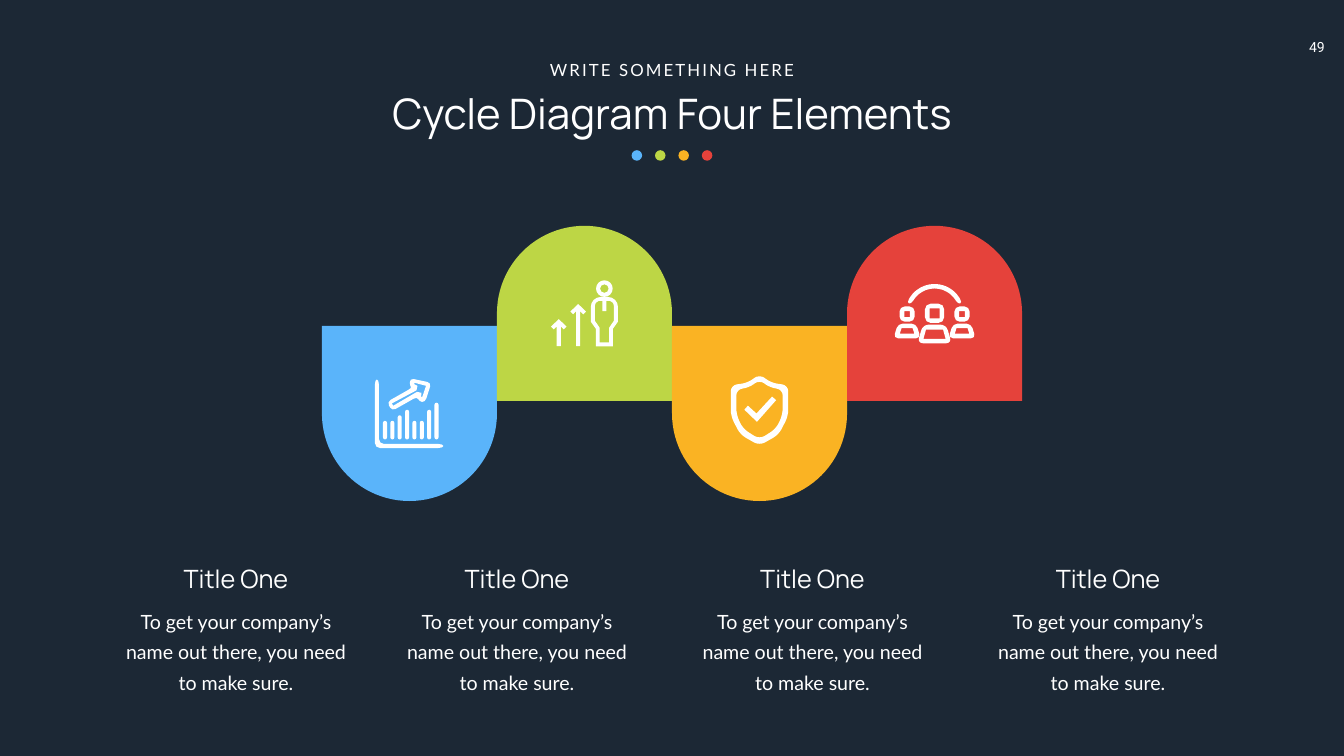
import math
from dataclasses import dataclass

from pptx import Presentation
from pptx.dml.color import RGBColor
from pptx.enum.shapes import MSO_SHAPE
from pptx.enum.text import MSO_AUTO_SIZE, PP_ALIGN
from pptx.oxml.ns import qn
from pptx.util import Cm, Pt

ELLIPSE, PETAL = MSO_SHAPE.OVAL, MSO_SHAPE.FLOWCHART_DELAY
CENTER, FIT_SHAPE = PP_ALIGN.CENTER, MSO_AUTO_SIZE.SHAPE_TO_FIT_TEXT


@dataclass(frozen=True)
class Theme:
    """Colours, and text styles as (font, size)."""
    background: str = "1C2835"
    white: str = "FFFFFF"
    accents: tuple = ("5AB4FA", "BDD645", "FAB323", "E5423B")
    title: tuple = ("Manrope", 60)
    heading: tuple = ("Manrope", 36)
    body: tuple = ("Lato", 28)
    kicker: tuple = ("Lato", 24)
    number: tuple = ("Roboto", 20)


THEME = Theme()
KICKER, TITLE, PAGE_NUMBER = "WRITE SOMETHING HERE", "Cycle Diagram Four Elements", "49"
BODY = "To get your company’s name out there, you need to make sure."
# Heading, body and centre of each column in cm
COLUMNS = [("Title One", BODY, center) for center in (11.89, 26.05, 40.94, 55.83)]

SLIDE_WIDTH, SLIDE_HEIGHT = 67.72, 38.1
PETAL_SIZE, HIGH_TOP, LOW_TOP = 8.82, 11.38, 16.43
DOT_SIZE, DOT_PITCH, DOT_TOP = 0.53, 1.18, 7.57
ICON_UNIT = Cm(2.54) / 100
CIRCLE_FACTOR = 0.55


def mirror(half, axis=0):
    """Complete a right half, given around x = 0, and centre it on the axis."""
    left = [(-x, *rest) for x, *rest in reversed(half) if x]
    return [(x + axis, *rest) for x, *rest in half + left]


def trapezoid(axis, top, bottom, half_top, half_bottom, radius=0):
    return mirror([(half_top, top), (half_bottom, bottom)], axis), radius


def arch(outer, inner, start, count, radius):
    """Strip along an arc above the icon centre, with rounded ends."""
    angles = [math.radians(start + i * (180 - 2 * start) / (count - 1)) for i in range(count)]
    sides = [(outer, angles), (inner, angles[::-1])]
    return [(r * math.cos(a), -r * math.sin(a)) for r, side in sides for a in side], radius


def up_arrow(tip, base):
    return [(0, tip), (15.5, tip + 15), (10, tip + 20.5), (4, tip + 14.5), (4, base)]


# An icon is a list of shapes, a shape a list of contours, a contour (points, corner radius).
# Points are icon units from the petal centre; a third number is the radius of that corner.
BAR_HEIGHTS = [37, 37, 48, 59, 37, 37, 59, 73]
CHART_ICON = [
    [([(-68.5, -67.5), (-60.5, -67.5), (-60.5, 60.5), (67.5, 60.5),
       (67.5, 68.5), (-68.5, 68.5)], 10)],
    *[[trapezoid(-48.5 + 14.6 * i, 51.5 - height, 51.5, 4, 4, 4)]
      for i, height in enumerate(BAR_HEIGHTS)],
    [([(-44.5, -23), (-34.5, -5), (15.5, -33.5), (19, -24), (31, -22),
       (43.5, -61), (0.5, -70), (1, -54), (5, -51)], 8),
     ([(-35, -20), (-32, -15.5), (15, -43), (24, -41), (23, -33), (25.5, -33),
       (33, -55), (10, -61), (10, -58), (16, -55), (14, -46)], 0)],
]
GROWTH_ICON = [
    [(mirror([(27, -32.5, 20), (27, 16.5), (17, 30.5), (17, 65.5)], 39.5), 0),
     (mirror([(4, -4.5), (4, -24.5), (19, -24.5, 12), (19, 14.5),
              (9.5, 28.5), (9.5, 57.5)], 39.5), 0)],
    [trapezoid(39.5, -65.5, -32.5, 16.5, 16.5, 16.5),
     trapezoid(39.5, -57.5, -40.5, 8.5, 8.5, 8.5)],
    [(mirror(up_arrow(-18.5, 65), -12.5), 0)],
    [(mirror(up_arrow(11.5, 65), -51), 0)],
]
SHIELD_ICON = [
    [([(-6, 0), (-23, -15.5), (-30, -7.5), (-5, 16.5), (33, -26.5), (25, -33.5)], 0)],
    [(mirror([(0, -78), (23, -61), (57, -56), (57, 5), (38, 42), (0, 63.5)]), 12),
     (mirror([(0, -67), (21, -51), (46, -48), (46, 2), (33, 30), (0, 51)]), 12)],
]
TEAM_ICON = [
    [trapezoid(0, -19, 19, 19, 19, 11), trapezoid(0, -10, 10, 10, 10)],
    [trapezoid(0, 22.5, 59.5, 23, 34, 11), trapezoid(0, 32.5, 50.5, 17, 22)],
    *[part for axis in (-54.5, 54.5) for part in (
        [trapezoid(axis, -13.5, 16.5, 15, 15, 10), trapezoid(axis, -4.5, 7.5, 5.5, 5.5)],
        [trapezoid(axis, 20.5, 49.5, 18, 27, 9), trapezoid(axis, 29.5, 40.5, 11, 14.5)])],
    [arch(59, 50, 21, 8, 8)],
]
ICONS = [CHART_ICON, GROWTH_ICON, SHIELD_ICON, TEAM_ICON]


def round_corners(points, default_radius):
    """Return one point for each sharp corner, four Bézier points for each round one."""
    corners = []
    for i, (x, y, *own) in enumerate(points):
        radius = own[0] if own else default_radius
        if not radius:
            corners.append([(x, y)])
            continue
        ends = []
        for near_x, near_y, *_ in (points[i - 1], points[(i + 1) % len(points)]):
            length = math.hypot(near_x - x, near_y - y)
            share = min(radius, length / 2) / length
            ends.append(((near_x - x) * share, (near_y - y) * share))
        pull = 1 - CIRCLE_FACTOR
        corners.append([(x + dx * scale, y + dy * scale) for (dx, dy), scale in
                        zip((ends[0], ends[0], ends[1], ends[1]), (1, pull, pull, 1))])
    return corners


def bend_corners(shape, corners):
    """Turn the three line segments of each round corner into one Bézier curve."""
    nodes = list(shape._element.iter(qn("a:moveTo"), qn("a:lnTo")))
    for corner in corners:
        segments, nodes = nodes[1:len(corner)], nodes[len(corner):]
        if segments:
            curve = segments[0].makeelement(qn("a:cubicBezTo"))
            segments[0].addprevious(curve)
            for segment in segments:
                curve.append(segment[0])
                segment.getparent().remove(segment)


def paint(shape, color):
    shape.shadow.inherit = False
    shape.fill.solid()
    shape.fill.fore_color.rgb = RGBColor.from_string(color)
    shape.line.fill.background()


def add_filled(shapes, kind, left, top, size, color):
    shape = shapes.add_shape(kind, Cm(left), Cm(top), Cm(size), Cm(size))
    paint(shape, color)
    return shape


def add_icon(shapes, icon, center_x, center_y):
    group = shapes.add_group_shape()
    for contours in icon:
        builder, corners = group.shapes.build_freeform(), []
        for points, radius in contours:
            rounded = round_corners(points, radius)
            first, *others = [(Cm(center_x) + x * ICON_UNIT, Cm(center_y) + y * ICON_UNIT)
                              for corner in rounded for x, y in corner]
            if not corners:
                builder = group.shapes.build_freeform(*first)
            else:
                builder.move_to(*first)
            builder.add_line_segments(others, close=True)
            corners += rounded
        shape = builder.convert_to_shape()
        bend_corners(shape, corners)
        paint(shape, THEME.white)


def add_text(shapes, text, style, center, top, width, height, leading=None, tracking=0, wrap=True):
    frame = shapes.add_textbox(Cm(center - width / 2), Cm(top), Cm(width), Cm(height)).text_frame
    frame.word_wrap, frame.auto_size = wrap, FIT_SHAPE
    paragraph = frame.paragraphs[0]
    paragraph.alignment, paragraph.line_spacing = CENTER, leading
    run = paragraph.add_run()
    run.text = text
    run.font.name, run.font.size = style[0], Pt(style[1])
    run.font.color.rgb = RGBColor.from_string(THEME.white)
    run._r.get_or_add_rPr().set("spc", str(tracking * 100))


presentation = Presentation()
presentation.slide_width, presentation.slide_height = Cm(SLIDE_WIDTH), Cm(SLIDE_HEIGHT)
slide = presentation.slides.add_slide(presentation.slide_layouts[6])
slide.background.fill.solid()
slide.background.fill.fore_color.rgb = RGBColor.from_string(THEME.background)
middle = SLIDE_WIDTH / 2
add_text(slide.shapes, PAGE_NUMBER, THEME.number, 66.36, 1.83, 2.57, 1.37)
header = slide.shapes.add_group_shape().shapes
add_text(header, TITLE, THEME.title, middle, 4.27, 38.33, 2.82)
add_text(header, KICKER, THEME.kicker, middle, 2.87, 13.06, 1.27, tracking=3, wrap=False)
first_petal, first_dot = middle - 2 * PETAL_SIZE, middle - 1.5 * DOT_PITCH - DOT_SIZE / 2
for i, (color, icon) in enumerate(zip(THEME.accents, ICONS)):
    add_filled(header, ELLIPSE, first_dot + i * DOT_PITCH, DOT_TOP, DOT_SIZE, color)
    left, top = first_petal + i * PETAL_SIZE, HIGH_TOP if i % 2 else LOW_TOP
    petal = add_filled(slide.shapes, PETAL, left, top, PETAL_SIZE, color)
    petal.rotation = 270 if i % 2 else 90
    add_icon(slide.shapes, icon, left + PETAL_SIZE / 2, top + PETAL_SIZE / 2)
for heading, body, center in COLUMNS:
    column = slide.shapes.add_group_shape().shapes
    add_text(column, body, THEME.body, center, 30.3, 11.76, 4.7, leading=Pt(43))
    add_text(column, heading, THEME.heading, center, 28.24, 13.21, 1.8)
presentation.save("out.pptx")
